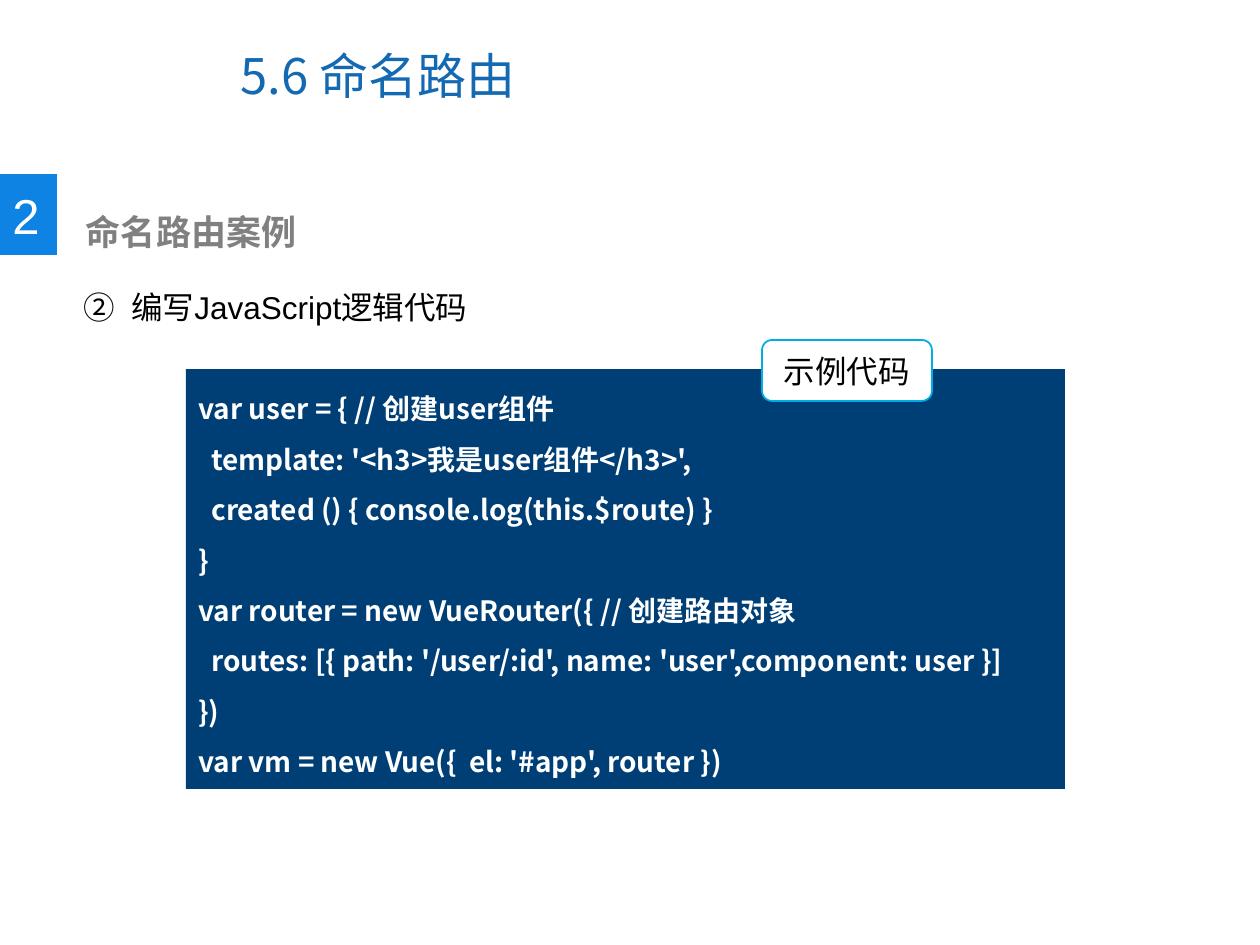
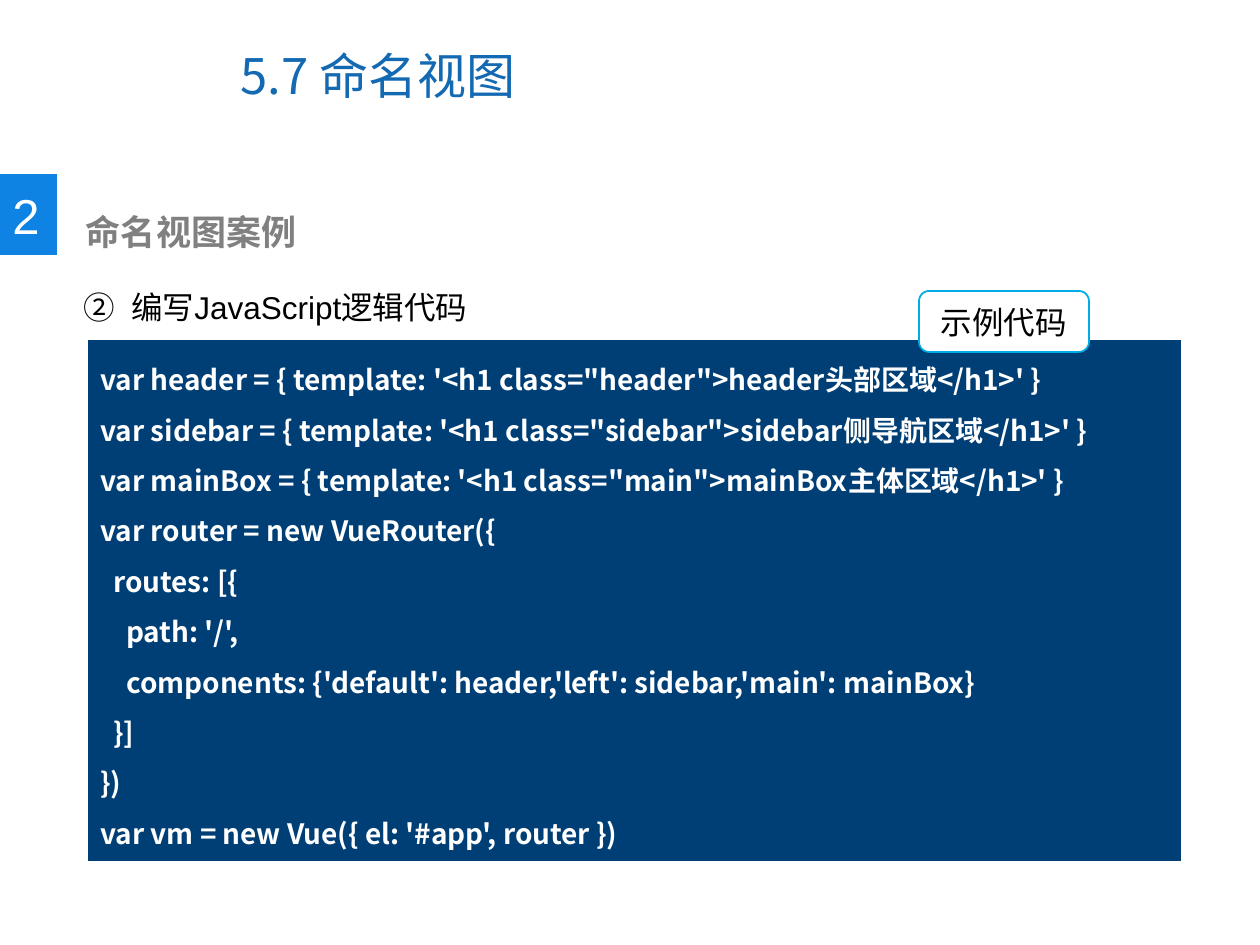
import pptx
import pptx.util
import pptx.dml.color
import pptx.enum.shapes
import pptx.enum.text
import pptx.oxml.ns
import lxml.etree

COLORS = {
    "title": "1369B2", "band": "0F83E3", "heading": "808080", "text": "000000",
    "code": "003F75", "badge_line": "00ACE6", "white": "FFFFFF",
}
LATIN, CHINESE = "Arial", "Noto Sans CJK SC"
STEP = "编写JavaScript逻辑代码"
BADGE = "示例代码"

SLIDES = [
    {
        "title": "5.6 命名路由", "number": "2", "heading": "命名路由案例",
        "code_box": (186, 369, 879, 420), "badge_at": (762, 340),
        "code": [
            (0, "var user = { // 创建user组件"),
            (1, "template: '<h3>我是user组件</h3>',"),
            (1, "created () { console.log(this.$route) }"),
            (0, "}"),
            (0, "var router = new VueRouter({ // 创建路由对象"),
            (1, "routes: [{ path: '/user/:id', name: 'user',component: user }]"),
            (0, "})"),
            (0, "var vm = new Vue({  el: '#app', router })"),
        ],
    },
    {
        "title": "5.7 命名视图", "number": "2", "heading": "命名视图案例",
        "code_box": (88, 340, 1093, 521), "badge_at": (919, 291),
        "code": [
            (0, "var header = { template: '<h1 class=\"header\">header头部区域</h1>' }"),
            (0, "var sidebar = { template: '<h1 class=\"sidebar\">sidebar侧导航区域</h1>' }"),
            (0, "var mainBox = { template: '<h1 class=\"main\">mainBox主体区域</h1>' }"),
            (0, "var router = new VueRouter({"),
            (1, "routes: [{"),
            (2, "path: '/',"),
            (2, "components: {'default': header,'left': sidebar,'main': mainBox}"),
            (1, "}]"),
            (0, "})"),
            (0, "var vm = new Vue({ el: '#app', router })"),
        ],
    },
]

SHAPES = pptx.enum.shapes.MSO_SHAPE
ANCHOR = pptx.enum.text.MSO_ANCHOR
ALIGN = pptx.enum.text.PP_ALIGN
CODE_INDENT = 13
HANGING = 48


def px(value):
    return pptx.util.Emu(round(value * 914400 / 126))


def rgb(name):
    return pptx.dml.color.RGBColor.from_string(COLORS[name])


def write(shape, lines, size, color, font=LATIN, bold=False, spacing=None,
          align=ALIGN.LEFT, anchor=ANCHOR.TOP, wrap=True):
    frame = shape.text_frame
    frame.text = "\n".join(lines)
    frame.word_wrap = wrap
    frame.vertical_anchor = anchor
    for paragraph in frame.paragraphs:
        paragraph.alignment = align
        if spacing:
            paragraph.line_spacing = spacing
        for run in paragraph.runs:
            run.font.name = font
            run.font.size = pptx.util.Pt(size)
            run.font.bold = bold
            run.font.color.rgb = rgb(color)
            east_asian = lxml.etree.SubElement(
                run.font._element, pptx.oxml.ns.qn("a:ea"))
            east_asian.set("typeface", CHINESE)
    return frame


def add_text(slide, box, text, size, color, **options):
    shape = slide.shapes.add_textbox(*map(px, box))
    return write(shape, [text], size, color, **options)


def add_box(slide, kind, box, fill, line=None):
    shape = slide.shapes.add_shape(kind, *map(px, box))
    shape.shadow.inherit = False
    shape.fill.solid()
    shape.fill.fore_color.rgb = rgb(fill)
    if line:
        shape.line.color.rgb = rgb(line)
        shape.line.width = pptx.util.Pt(1)
    else:
        shape.line.fill.background()
    return shape


def indent(paragraph, left, first=0):
    properties = paragraph._p.get_or_add_pPr()
    properties.set("marL", str(px(left)))
    properties.set("indent", str(px(first)))
    return properties


def add_header(slide, content):
    add_text(slide, (228, 21, 650, 107), content["title"], 28, "title",
             font=CHINESE, anchor=ANCHOR.MIDDLE)
    add_box(slide, SHAPES.RECTANGLE, (0, 174, 57, 81), "band")
    add_text(slide, (0, 179, 53, 72), content["number"], 28, "white", wrap=False)
    heading = add_text(slide, (59, 204, 648, 55), content["heading"], 20,
                       "heading", bold=True)
    heading.margin_left = px(27)


def add_step(slide):
    frame = add_text(slide, (71, 244, 1111, 77), STEP, 18, "text", spacing=2.0)
    properties = indent(frame.paragraphs[0], HANGING, -HANGING)
    bullet = lxml.etree.SubElement(properties, pptx.oxml.ns.qn("a:buAutoNum"))
    bullet.set("type", "circleNumDbPlain")
    bullet.set("startAt", "2")


def add_code(slide, content):
    panel = add_box(slide, SHAPES.RECTANGLE, content["code_box"], "code")
    lines = [text for level, text in content["code"]]
    frame = write(panel, lines, 16, "white", font=CHINESE, bold=True, spacing=1.5)
    for paragraph, (level, text) in zip(frame.paragraphs, content["code"]):
        indent(paragraph, level * CODE_INDENT)
    badge = add_box(slide, SHAPES.ROUNDED_RECTANGLE,
                    (*content["badge_at"], 170, 61), "white", "badge_line")
    write(badge, [BADGE], 18, "text", align=ALIGN.CENTER, anchor=ANCHOR.MIDDLE)


presentation = pptx.Presentation()
presentation.slide_width = px(1260)
presentation.slide_height = px(945)
for content in SLIDES:
    slide = presentation.slides.add_slide(presentation.slide_layouts[6])
    add_header(slide, content)
    add_step(slide)
    add_code(slide, content)
presentation.save("out.pptx")
